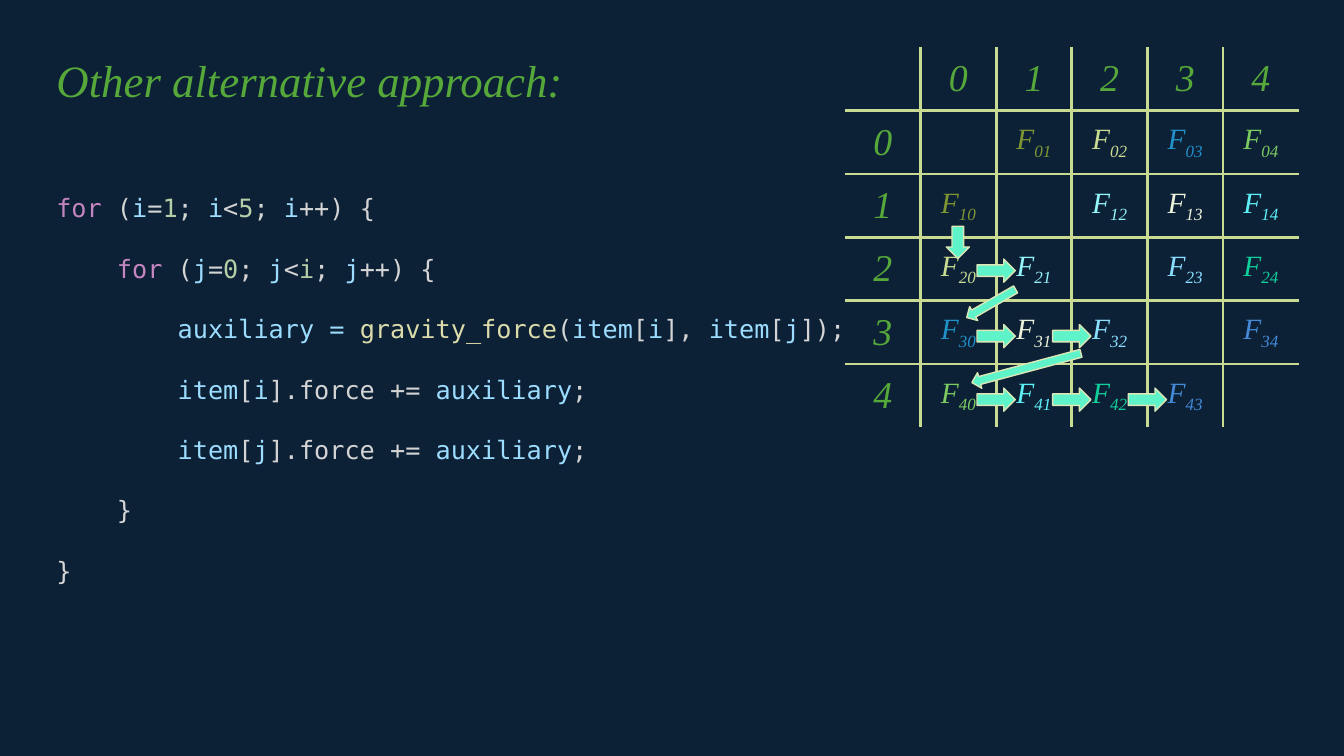
from lxml import etree
from pptx import Presentation
from pptx.dml.color import RGBColor
from pptx.enum import shapes, text
from pptx.oxml.ns import qn
from pptx.util import Inches, Pt

SERIF, MONO = "Times New Roman", "DejaVu Sans Mono"
GREEN, GRID_LINE = "55A839", "C9DA92"
KEYWORD, PLAIN, VARIABLE = "C586C0", "D4D4D4", "9CDCFE"
NUMBER, FUNCTION = "B5CEA8", "DCDCAA"

BODIES = 5
GRID_LEFT, GRID_TOP, COLUMN, ROW = 8.38, 0.47, 0.75, 0.628
# F_ij and F_ji share a colour
PAIR_COLORS = {
    (0, 1): "7E9632", (0, 2): "C9DA92", (0, 3): "2191C9", (0, 4): "7CCA62",
    (1, 2): "94F5FA", (1, 3): "EDF3DB", (1, 4): "5EF0F7",
    (2, 3): "8ADFFF", (2, 4): "10CF9B", (3, 4): "448AD7",
}
STEP_ROW_TOPS = [2.57, 3.22, 3.85]
ROW_CHANGES = [  # left, top, width, height, rotation
    (9.34, 2.29, 0.32, 0.23, 90),
    (9.55, 2.93, 0.56, 0.16, 150),
    (9.62, 3.57, 1.12, 0.16, 165),
]


def rgb(value):
    return RGBColor.from_string(value)


def add_run(paragraph, words, color, size, font, italic=False):
    run = paragraph.add_run()
    run.text = words
    run.font.name = font
    run.font.size = Pt(size)
    run.font.italic = italic
    run.font.bold = False
    run.font.color.rgb = rgb(color)
    return run


def add_title(slide, words):
    title = slide.shapes.title
    title.left, title.top = Inches(0.46), Inches(0.47)
    title.width, title.height = Inches(6.21), Inches(0.64)
    frame = title.text_frame
    frame.auto_size = text.MSO_AUTO_SIZE.NONE
    frame.vertical_anchor = text.MSO_ANCHOR.TOP
    paragraph = frame.paragraphs[0]
    paragraph.alignment = text.PP_ALIGN.LEFT
    add_run(paragraph, words, GREEN, 32, SERIF, italic=True)


def loop_header(indent, index, start, limit):
    return [
        (indent, PLAIN), ("for", KEYWORD), (" (", PLAIN),
        (index, VARIABLE), ("=", PLAIN), (start, NUMBER), ("; ", PLAIN),
        (index, VARIABLE), ("<", PLAIN), (limit, NUMBER), ("; ", PLAIN),
        (index, VARIABLE), ("++) {", PLAIN),
    ]


def item_at(index):
    return [("item", VARIABLE), ("[", PLAIN), (index, VARIABLE)]


def force_update(indent, index):
    return [(indent, PLAIN), *item_at(index), ("].force += ", PLAIN),
            ("auxiliary", VARIABLE), (";", PLAIN)]


def code_lines():
    inner, body = " " * 4, " " * 8
    return [
        loop_header("", "i", "1", "5"),
        loop_header(inner, "j", "0", "i"),
        [(body, PLAIN), ("auxiliary = ", VARIABLE),
         ("gravity_force", FUNCTION), ("(", PLAIN), *item_at("i"),
         ("], ", PLAIN), *item_at("j"), ("]);", PLAIN)],
        force_update(body, "i"),
        force_update(body, "j"),
        [(inner + "}", PLAIN)],
        [("}", PLAIN)],
    ]


def add_code(slide, lines):
    box = slide.shapes.add_textbox(
        Inches(0.46), Inches(1.56), Inches(8.58), Inches(4.26))
    frame = box.text_frame
    frame.word_wrap = True
    for number, tokens in enumerate(lines):
        paragraph = frame.add_paragraph() if number else frame.paragraphs[0]
        paragraph.line_spacing = 2.0
        for words, color in tokens:
            if words:
                add_run(paragraph, words, color, 18, MONO)


def set_borders(cell, row, column):
    """Rule the inner edges of the grid and leave its outside open."""
    inner_edges = {"a:lnL": column > 0, "a:lnR": column < BODIES,
                   "a:lnT": row > 0, "a:lnB": row < BODIES}
    properties = cell._tc.get_or_add_tcPr()
    for tag, ruled in inner_edges.items():
        line = etree.SubElement(properties, qn(tag), w=str(Pt(2.25)))
        if ruled:
            fill = etree.SubElement(line, qn("a:solidFill"))
            etree.SubElement(fill, qn("a:srgbClr"), val=GRID_LINE)
        else:
            etree.SubElement(line, qn("a:noFill"))


def fill_cell(cell, row, column):
    cell.vertical_anchor = text.MSO_ANCHOR.MIDDLE
    cell.margin_left = cell.margin_right = Inches(0.07)
    cell.margin_top = cell.margin_bottom = Inches(0.04)
    set_borders(cell, row, column)
    cell.fill.background()
    if row == column:
        return
    paragraph = cell.text_frame.paragraphs[0]
    paragraph.alignment = text.PP_ALIGN.CENTER
    i, j = row - 1, column - 1
    if row == 0 or column == 0:
        add_run(paragraph, str(max(i, j)), GREEN, 27, SERIF, italic=True)
        return
    color = PAIR_COLORS[min(i, j), max(i, j)]
    add_run(paragraph, "F", color, 21, SERIF, italic=True)
    subscript = add_run(paragraph, f"{i}{j}", color, 21, SERIF, italic=True)
    subscript._r.get_or_add_rPr().set("baseline", "-25000")


def add_force_matrix(slide):
    count = BODIES + 1
    matrix = slide.shapes.add_table(
        count, count, Inches(GRID_LEFT), Inches(GRID_TOP),
        Inches(count * COLUMN), Inches(count * ROW)).table
    matrix.first_row = matrix.horz_banding = False
    for column in matrix.columns:
        column.width = Inches(COLUMN)
    for row in matrix.rows:
        row.height = Inches(ROW)
    for row in range(count):
        for column in range(count):
            fill_cell(matrix.cell(row, column), row, column)


def add_arrow(slide, left, top, width, height, rotation=0):
    arrow = slide.shapes.add_shape(
        shapes.MSO_SHAPE.RIGHT_ARROW,
        Inches(left), Inches(top), Inches(width), Inches(height))
    arrow.rotation = rotation
    arrow.shadow.inherit = False
    arrow.fill.solid()
    arrow.fill.fore_color.rgb = rgb("5FF3CA")
    arrow.line.color.rgb = rgb("DBE7B6")
    arrow.line.width = Pt(1)


def add_traversal(slide):
    """Arrows that follow the loop order through the lower triangle."""
    for row, top in enumerate(STEP_ROW_TOPS):
        add_arrow(slide, *ROW_CHANGES[row])
        for step in range(row + 1):
            add_arrow(slide, 9.69 + step * COLUMN, top, 0.38, 0.23)


def main():
    deck = Presentation()
    deck.slide_width, deck.slide_height = Inches(13.33), Inches(7.5)
    slide = deck.slides.add_slide(deck.slide_layouts[5])
    slide.background.fill.solid()
    slide.background.fill.fore_color.rgb = rgb("0C2036")
    add_title(slide, "Other alternative approach:")
    add_force_matrix(slide)
    add_code(slide, code_lines())
    add_traversal(slide)
    deck.save("out.pptx")


if __name__ == "__main__":
    main()
